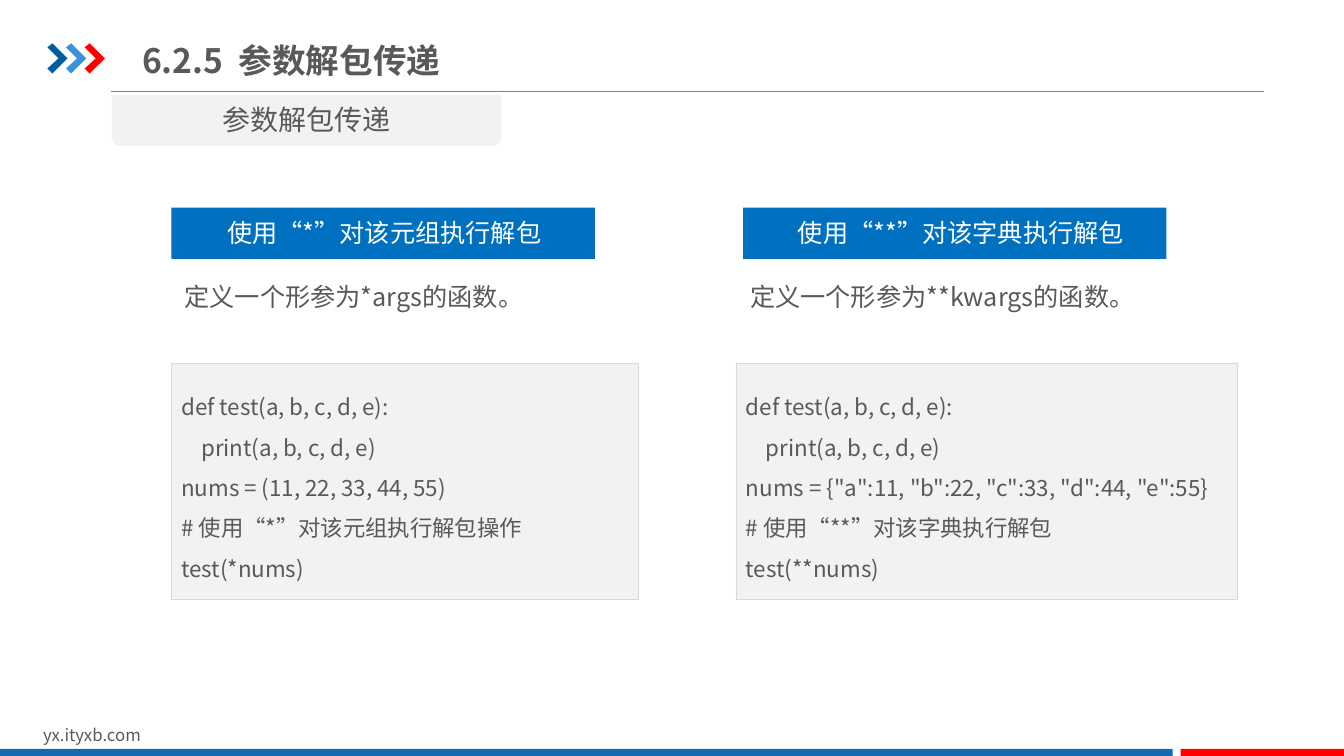
from dataclasses import dataclass

import pptx
import pptx.dml.color
import pptx.enum.shapes
import pptx.enum.text
import pptx.oxml.ns
import pptx.util
from lxml import etree

Inches = pptx.util.Inches
Align = pptx.enum.text.PP_ALIGN
Anchor = pptx.enum.text.MSO_ANCHOR
Preset = pptx.enum.shapes.MSO_SHAPE


@dataclass(frozen=True)
class Theme:
    font: str = "Noto Sans CJK SC"
    text: str = "595959"
    white: str = "FFFFFF"
    panel: str = "F2F2F2"
    panel_edge: str = "D9D9D9"
    rule: str = "808080"
    banner: str = "0070C0"
    footer: str = "1369B2"
    accent: str = "FF0000"
    chevrons: tuple = ("005DA2", "3992DB", "FF0000")
    title_size: int = 24
    tab_size: int = 20
    body_size: int = 18
    code_size: int = 16
    site_size: int = 12


THEME = Theme()


def rgb(color):
    return pptx.dml.color.RGBColor.from_string(color)


def write(frame, text, size, color=THEME.text, align=Align.LEFT,
          anchor=Anchor.TOP, spacing=None, bold=False):
    frame.text = text
    frame.word_wrap = True
    frame.vertical_anchor = anchor
    for paragraph in frame.paragraphs:
        paragraph.alignment = align
        if spacing:
            paragraph.line_spacing = spacing
        for run in paragraph.runs:
            run.font.name = THEME.font
            run.font.size = pptx.util.Pt(size)
            run.font.bold = bold
            run.font.color.rgb = rgb(color)
            etree.SubElement(run._r.get_or_add_rPr(), pptx.oxml.ns.qn("a:ea"),
                             typeface=THEME.font)


def add_label(slide, box, text, size, **style):
    label = slide.shapes.add_textbox(*map(Inches, box))
    write(label.text_frame, text, size, **style)
    return label.text_frame


def paint(shape, fill):
    shape.shadow.inherit = False
    shape.fill.solid()
    shape.fill.fore_color.rgb = rgb(fill)
    shape.line.fill.background()


def add_block(slide, box, fill, preset=Preset.RECTANGLE):
    block = slide.shapes.add_shape(preset, *map(Inches, box))
    paint(block, fill)
    return block


def add_chevrons(slide):
    group = slide.shapes.add_group_shape()
    outline = ((0, 0.04), (0.05, 0), (0.2, 0.15), (0.05, 0.3), (0, 0.25), (0.11, 0.15))
    for index, color in enumerate(THEME.chevrons):
        left = 0.47 + 0.185 * index
        points = [(Inches(left + x), Inches(0.43 + y)) for x, y in outline]
        builder = group.shapes.build_freeform(*points[0])
        builder.add_line_segments(points[1:], close=True)
        paint(builder.convert_to_shape(), color)


def add_heading(slide, text):
    heading = slide.shapes.title
    heading.left, heading.top, heading.width, heading.height = map(
        Inches, (1.31, 0.29, 5.41, 0.61))
    heading.text_frame.auto_size = pptx.enum.text.MSO_AUTO_SIZE.NONE
    write(heading.text_frame, text, THEME.title_size, anchor=Anchor.MIDDLE, bold=True)
    properties = heading.text_frame.paragraphs[0]._p.get_or_add_pPr()
    properties.set("marL", str(Inches(0.62)))
    properties.set("indent", str(-Inches(0.62)))


def add_frame(slide):
    """Draw the header rule, the chevrons and the footer."""
    rule = slide.shapes.add_connector(
        pptx.enum.shapes.MSO_CONNECTOR.STRAIGHT,
        *map(Inches, (1.1, 0.91, 12.54, 0.91)))
    rule.line.color.rgb = rgb(THEME.rule)
    rule.line.width = pptx.util.Pt(0.75)
    etree.SubElement(rule._element.spPr, pptx.oxml.ns.qn("a:effectLst"))
    add_chevrons(slide)
    add_label(slide, (0.33, 7.14, 3.18, 0.3), "yx.ityxb.com", THEME.site_size)
    add_block(slide, (0, 7.43, 11.63, 0.07), THEME.footer)
    add_block(slide, (11.71, 7.43, 1.62, 0.07), THEME.accent)


def add_tab(slide, text):
    tab = add_block(slide, (1.11, 0.94, 3.86, 0.51), THEME.panel,
                    Preset.ROUND_2_SAME_RECTANGLE)
    tab.rotation = 180
    add_label(slide, (1.11, 0.97, 3.86, 0.44), text, THEME.tab_size, align=Align.CENTER)


def add_banner(slide, left, label_left, label_width, text):
    add_block(slide, (left, 2.06, 4.2, 0.51), THEME.banner)
    add_label(slide, (label_left, 2.11, label_width, 0.4), text, THEME.body_size,
              color=THEME.white, align=Align.CENTER, anchor=Anchor.MIDDLE)


def add_explanation(slide, left, width, text):
    frame = add_label(slide, (left, 2.57, width, 0.59), text, THEME.body_size,
                      align=Align.JUSTIFY, spacing=1.5)
    frame.margin_left = frame.margin_right = Inches(0.13)
    frame.margin_top = frame.margin_bottom = Inches(0.07)


def add_code(slide, left, width, code):
    panel = add_block(slide, (left, 3.6, width, 2.34), THEME.panel)
    panel.line.color.rgb = rgb(THEME.panel_edge)
    panel.line.width = pptx.util.Pt(0.25)
    write(panel.text_frame, code, THEME.code_size, anchor=Anchor.MIDDLE, spacing=1.5)


def unpacking_code(nums, comment, call):
    return "\n".join(("def test(a, b, c, d, e):", "    print(a, b, c, d, e)",
                      f"nums = {nums}", f"# {comment}", call))


def main():
    deck = pptx.Presentation()
    deck.slide_width, deck.slide_height = Inches(13.33), Inches(7.5)
    slide = deck.slides.add_slide(deck.slide_layouts.get_by_name("Title Only"))

    add_frame(slide)
    add_heading(slide, "6.2.5  参数解包传递")
    add_tab(slide, "参数解包传递")

    add_banner(slide, 1.7, 2.05, 3.52, "使用“*”对该元组执行解包")
    add_explanation(slide, 1.7, 4.2, "定义一个形参为*args的函数。")
    add_code(slide, 1.7, 4.63, unpacking_code(
        "(11, 22, 33, 44, 55)", "使用“*”对该元组执行解包操作", "test(*nums)"))

    add_banner(slide, 7.37, 7.42, 4.22, "使用“**”对该字典执行解包")
    add_explanation(slide, 7.31, 4.33, "定义一个形参为**kwargs的函数。")
    add_code(slide, 7.3, 4.97, unpacking_code(
        '{"a":11, "b":22, "c":33, "d":44, "e":55}', "使用“**”对该字典执行解包",
        "test(**nums)"))

    deck.save("out.pptx")


if __name__ == "__main__":
    main()
